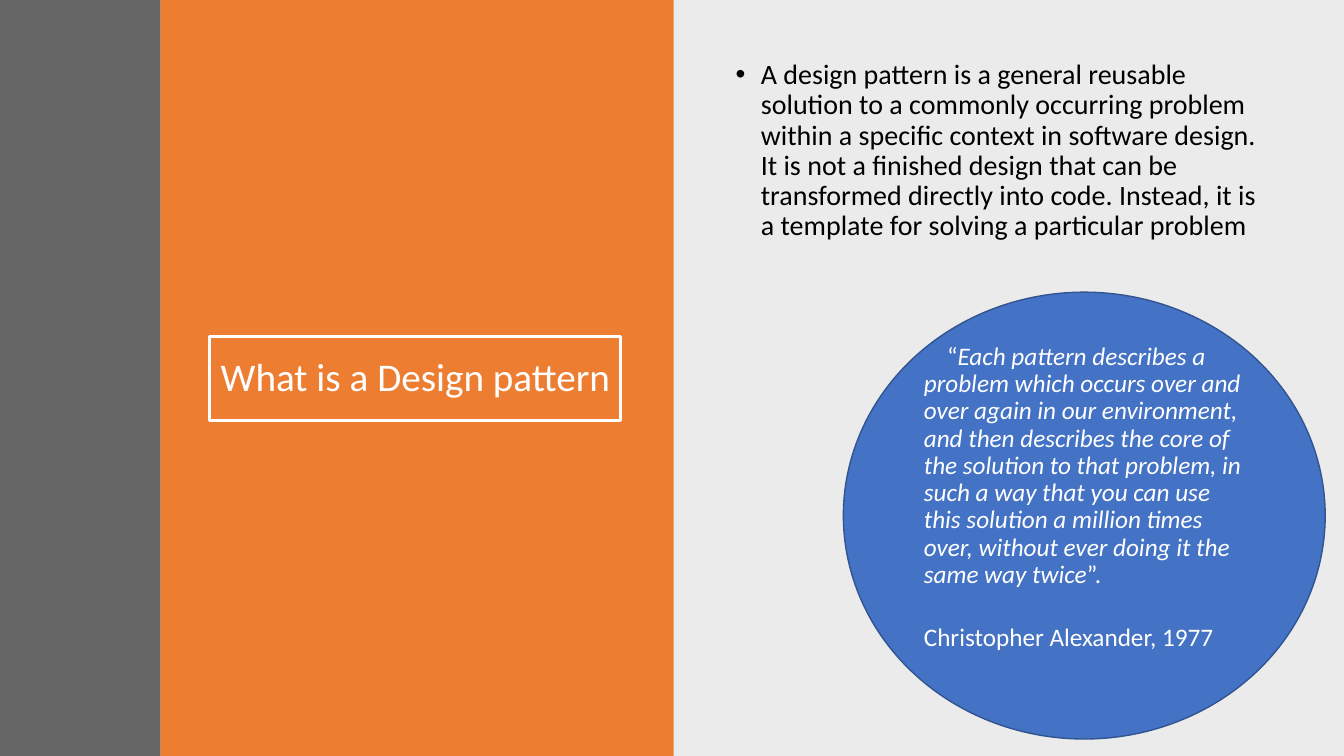
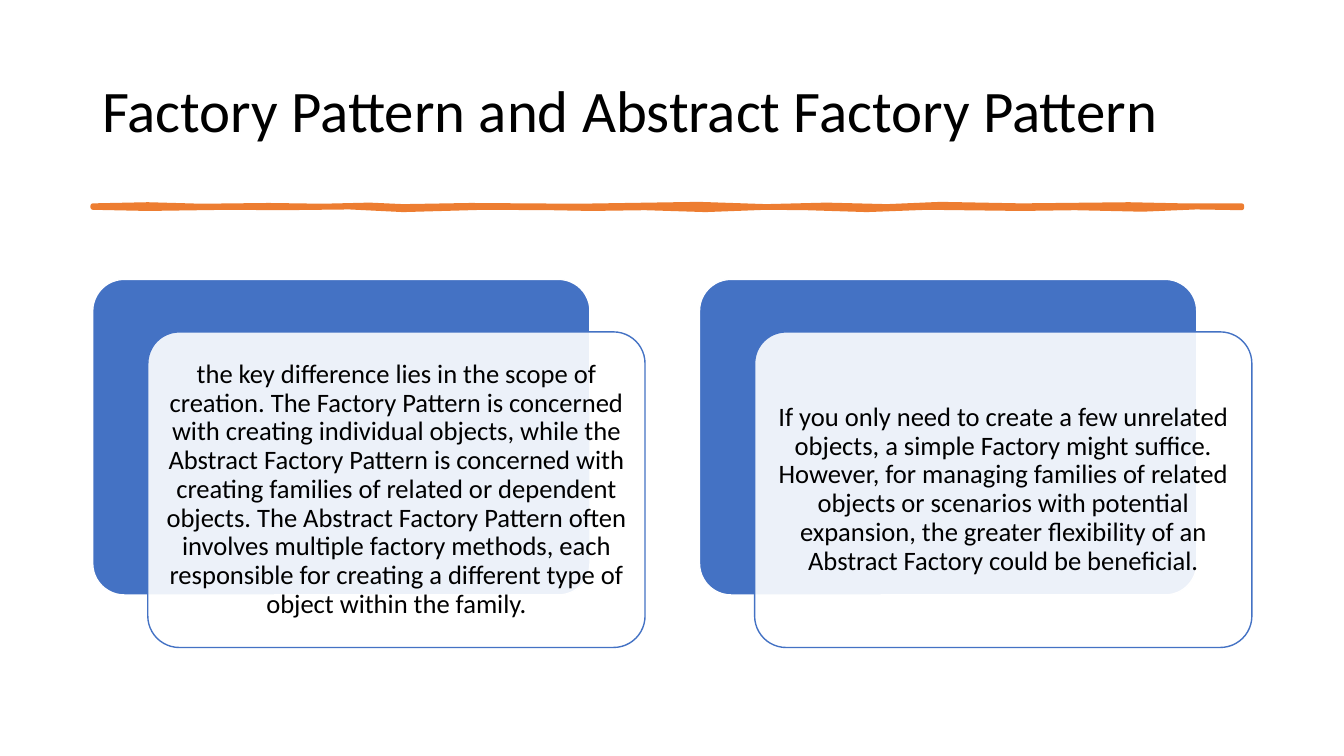
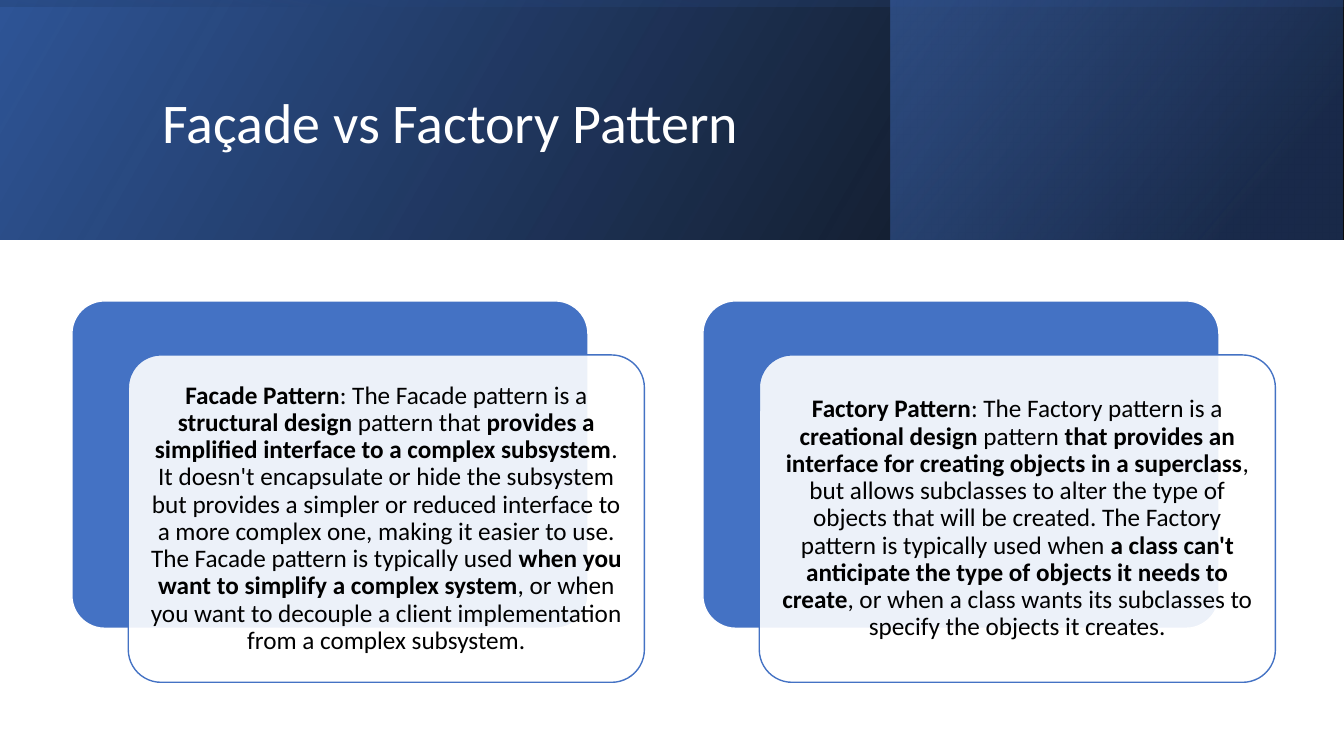
from dataclasses import dataclass

from lxml import etree
from pptx import Presentation
from pptx.dml.color import RGBColor
from pptx.enum.shapes import MSO_SHAPE
from pptx.enum.text import MSO_ANCHOR, PP_ALIGN
from pptx.oxml.ns import qn
from pptx.util import Inches, Pt


@dataclass(frozen=True)
class Theme:
    font: str = "Calibri"
    black: str = "000000"
    white: str = "FFFFFF"
    slate: str = "404040"
    orange: str = "ED7D31"
    blue: str = "4472C4"
    blue_edge: str = "325491"
    blue_deep: str = "2F5597"
    navy: str = "203864"
    title_large: int = 42
    title_band: int = 40
    title_box: int = 28
    body: int = 20
    card_large: int = 19
    card: int = 18
    leading: float = 0.9


class Deck:
    """Holds the theme and the current slide; places are percent of the slide's size."""

    def __init__(self, theme):
        self.theme = theme
        self.show = Presentation()
        self.show.slide_width, self.show.slide_height = Inches(13.333), Inches(7.5)
        self.slide = None

    def new_slide(self):
        self.slide = self.show.slides.add_slide(self.show.slide_layouts[6])

    def x(self, share):
        return round(self.show.slide_width * share / 100)

    def y(self, share):
        return round(self.show.slide_height * share / 100)

    def place(self, left, top, width, height):
        return self.x(left), self.y(top), self.x(width), self.y(height)

    def finish(self, shape, fill=None, opacity=100, line=None, weight=1):
        shape.shadow.inherit = False
        if fill:
            shape.fill.solid()
            shape.fill.fore_color.rgb = RGBColor.from_string(fill)
            self.fade(shape, [opacity])
        else:
            shape.fill.background()
        if line:
            shape.line.color.rgb = RGBColor.from_string(line)
            shape.line.width = Pt(weight)
        else:
            shape.line.fill.background()
        return shape

    def fade(self, shape, opacities):
        colours = shape._element.spPr.iter(qn("a:srgbClr"))
        for colour, opacity in zip(colours, opacities):
            if opacity < 100:
                etree.SubElement(colour, qn("a:alpha"), val=str(opacity * 1000))

    def block(self, place, kind=MSO_SHAPE.RECTANGLE, **style):
        shape = self.slide.shapes.add_shape(kind, *self.place(*place))
        return self.finish(shape, **style)

    def gradient(self, place, angle, stops, upright=False):
        """Mirrored two-stop gradient; upright draws it tall and turns it on its side."""
        left, top, width, height = self.place(*place)
        if upright:
            left, top = left + (width - height) // 2, top + (height - width) // 2
            width, height = height, width
        band = self.slide.shapes.add_shape(MSO_SHAPE.RECTANGLE, left, top, width, height)
        self.finish(band)
        band.rotation = 270 if upright else 0
        band._element.spPr.xfrm.set("flipH", "1")
        band.fill.gradient()
        band.fill.gradient_angle = 360 - angle
        for stop, (position, colour, _) in zip(band.fill.gradient_stops, stops):
            stop.position = position / 100
            stop.color.rgb = RGBColor.from_string(colour)
        self.fade(band, [opacity for _, _, opacity in stops])

    def textbox(self, place):
        return self.slide.shapes.add_textbox(*self.place(*place))

    def set_text(self, shape, paragraphs, size, colour, align=PP_ALIGN.LEFT,
                 anchor=MSO_ANCHOR.MIDDLE, inset=None):
        """Each paragraph is a list of (text, style) runs; style is "", "b" or "i"."""
        frame = shape.text_frame
        frame.word_wrap = True
        frame.vertical_anchor = anchor
        if inset is not None:
            frame.margin_left = frame.margin_right = Inches(inset)
            frame.margin_top = frame.margin_bottom = Inches(inset)
        for number, runs in enumerate(paragraphs):
            paragraph = frame.add_paragraph() if number else frame.paragraphs[0]
            paragraph.alignment = align
            paragraph.line_spacing = self.theme.leading
            for text, style in runs:
                run = paragraph.add_run()
                run.text = text
                run.font.name, run.font.size = self.theme.font, Pt(size)
                run.font.bold, run.font.italic = style == "b", style == "i"
                run.font.color.rgb = RGBColor.from_string(colour)
        return frame

    def indent(self, paragraph, first, left=0, bullet=None):
        properties = paragraph._p.get_or_add_pPr()
        properties.set("marL", str(Inches(left)))
        properties.set("indent", str(Inches(first)))
        if bullet:
            etree.SubElement(properties, qn("a:buFont"), typeface="Arial")
            etree.SubElement(properties, qn("a:buChar"), char=bullet)

    def title(self, place, text, size, colour):
        self.set_text(self.textbox(place), [[(text, "")]], size, colour)

    def brush_rule(self, top_edge, bottom_edge, colour, weight):
        outline = [(self.x(x), self.y(y)) for x, y in top_edge + bottom_edge[::-1]]
        builder = self.slide.shapes.build_freeform(*outline[0])
        builder.add_line_segments(outline[1:], close=True)
        self.finish(builder.convert_to_shape(), fill=colour, line=colour, weight=weight)

    def cards(self, place, step, pitch, texts, size):
        """Blue plates, each with a pale card shifted by step that carries the text."""
        left, top, width, height = place
        theme = self.theme
        for column, runs in enumerate(texts):
            plate_left = left + column * pitch
            plate = self.block((plate_left, top, width, height),
                               MSO_SHAPE.ROUNDED_RECTANGLE, fill=theme.blue, line=theme.white)
            card = self.block((plate_left + step[0], top + step[1], width, height),
                              MSO_SHAPE.ROUNDED_RECTANGLE, fill=theme.white, opacity=90,
                              line=theme.blue)
            plate.adjustments[0] = card.adjustments[0] = 0.1
            self.set_text(card, [runs], size, theme.black, PP_ALIGN.CENTER, inset=0.08)


def definition_slide(deck):
    theme = deck.theme
    deck.new_slide()

    # Background panels
    deck.block((50, 0, 50, 100), fill=theme.black, opacity=8)
    deck.block((11.93, 0, 38.2, 100), fill=theme.orange)
    deck.block((0, 0, 11.93, 100), fill=theme.slate, opacity=80)

    # Framed title
    frame = deck.block((15.6, 44.53, 30.6, 11.07), line=theme.white, weight=2)
    deck.set_text(frame, [[("What is a Design pattern", "")]],
                  theme.title_box, theme.white, PP_ALIGN.CENTER)

    # Definition
    definition = deck.set_text(deck.textbox((54, 7.33, 41.5, 37.2)), [[(
        "A design pattern is a general reusable solution to a commonly occurring problem "
        "within a specific context in software design. It is not a finished design that can "
        "be transformed directly into code. Instead, it is a template for solving a "
        "particular problem", "")]], theme.body, theme.black, anchor=MSO_ANCHOR.TOP)
    deck.indent(definition.paragraphs[0], -0.25, 0.25, "•")

    # Quotation
    circle = deck.block((62.75, 38.65, 35.85, 59.1), MSO_SHAPE.OVAL,
                        fill=theme.blue, line=theme.blue_edge)
    quotation = deck.set_text(circle, [
        [("“", ""),
         ("Each pattern describes a problem which occurs over and over again in our "
          "environment, and then describes the core of the solution to that problem, in such "
          "a way that you can use this solution a million times over, without ever doing it "
          "the same way twice", "i"),
         ("”.", "")],
        [("Christopher Alexander, 1977", "")],
    ], theme.card, theme.white)
    quotation.margin_bottom = Inches(0.4)
    quote, author = quotation.paragraphs
    deck.indent(quote, 0.23)
    quote.space_after = Pt(6)
    author.space_before = Pt(19.8)


def factories_slide(deck):
    theme = deck.theme
    deck.new_slide()
    deck.title((6.88, 5.33, 86.25, 19.33), "Factory Pattern and Abstract Factory Pattern",
               theme.title_large, theme.black)

    # Hand-drawn rule under the title
    top_edge = [(6.9, 27.2), (11, 27.05), (15, 27.25), (20, 27.15), (24, 27.25), (27.5, 27.1),
                (30, 27.3), (35, 27.15), (43, 27.25), (52, 27), (57, 27.3), (61.5, 27.1),
                (66, 27.3), (70, 27), (76, 27.2), (84, 27.05), (88, 27.2), (92.4, 27.2)]
    bottom_edge = [(6.9, 27.45), (11, 27.6), (17, 27.45), (21, 27.5), (26, 27.4), (30, 27.75),
                   (36, 27.45), (41, 27.5), (44, 27.6), (48, 27.5), (52.5, 27.75), (57, 27.45),
                   (60, 27.5), (64.5, 27.75), (69, 27.45), (76, 27.6), (80, 27.5), (85, 27.7),
                   (89, 27.4), (92.4, 27.5)]
    deck.brush_rule(top_edge, bottom_edge, theme.orange, 3.25)

    # Comparison
    deck.cards((6.9, 36.95, 37, 41.75), (4.1, 6.95), 45.15, [
        [("the key difference lies in the scope of creation. The Factory Pattern is concerned "
          "with creating individual objects, while the Abstract Factory Pattern is concerned "
          "with creating families of related or dependent objects. The Abstract Factory "
          "Pattern often involves multiple factory methods, each responsible for creating a "
          "different type of object within the family.", "")],
        [("If you only need to create a few unrelated objects, a simple Factory might suffice. "
          "However, for managing families of related objects or scenarios with potential "
          "expansion, the greater flexibility of an Abstract Factory could be beneficial.",
          "")],
    ], theme.card_large)


def facade_slide(deck):
    theme = deck.theme
    deck.new_slide()

    # Layered title band
    band_height = 31.65
    full_band = (0, 0, 100, band_height)
    deck.gradient(full_band, 330, [(0, theme.black, 96), (100, theme.blue_deep, 100)])
    deck.gradient((66.25, 0, 33.65, band_height), 320,
                  [(19, theme.navy, 68), (100, theme.blue, 48)])
    deck.gradient(full_band, 350, [(23, theme.blue_deep, 16), (99, theme.black, 45)],
                  upright=True)
    deck.title((11.33, 5.07, 79.75, 22.93), "Façade vs Factory Pattern",
               theme.title_band, theme.white)

    # Comparison
    deck.cards((5.35, 39.8, 38.4, 43.3), (4.2, 7.15), 46.95, [
        [("Facade Pattern", "b"), (": The Facade pattern is a ", ""),
         ("structural design ", "b"), ("pattern that ", ""),
         ("provides a simplified interface to a complex subsystem", "b"),
         (". It doesn't encapsulate or hide the subsystem but provides a simpler or reduced "
          "interface to a more complex one, making it easier to use. The Facade pattern is "
          "typically used ", ""),
         ("when you want to simplify a complex system", "b"),
         (", or when you want to decouple a client implementation from a complex subsystem.",
          "")],
        [("Factory Pattern", "b"), (": The Factory pattern is a ", ""),
         ("creational design ", "b"), ("pattern ", ""),
         ("that provides an interface for creating objects in a superclass", "b"),
         (", but allows subclasses to alter the type of objects that will be created. The "
          "Factory pattern is typically used when ", ""),
         ("a class can't anticipate the type of objects it needs to create", "b"),
         (", or when a class wants its subclasses to specify the objects it creates.", "")],
    ], theme.card)


def main():
    deck = Deck(Theme())
    definition_slide(deck)
    factories_slide(deck)
    facade_slide(deck)
    deck.show.save("out.pptx")


if __name__ == "__main__":
    main()
